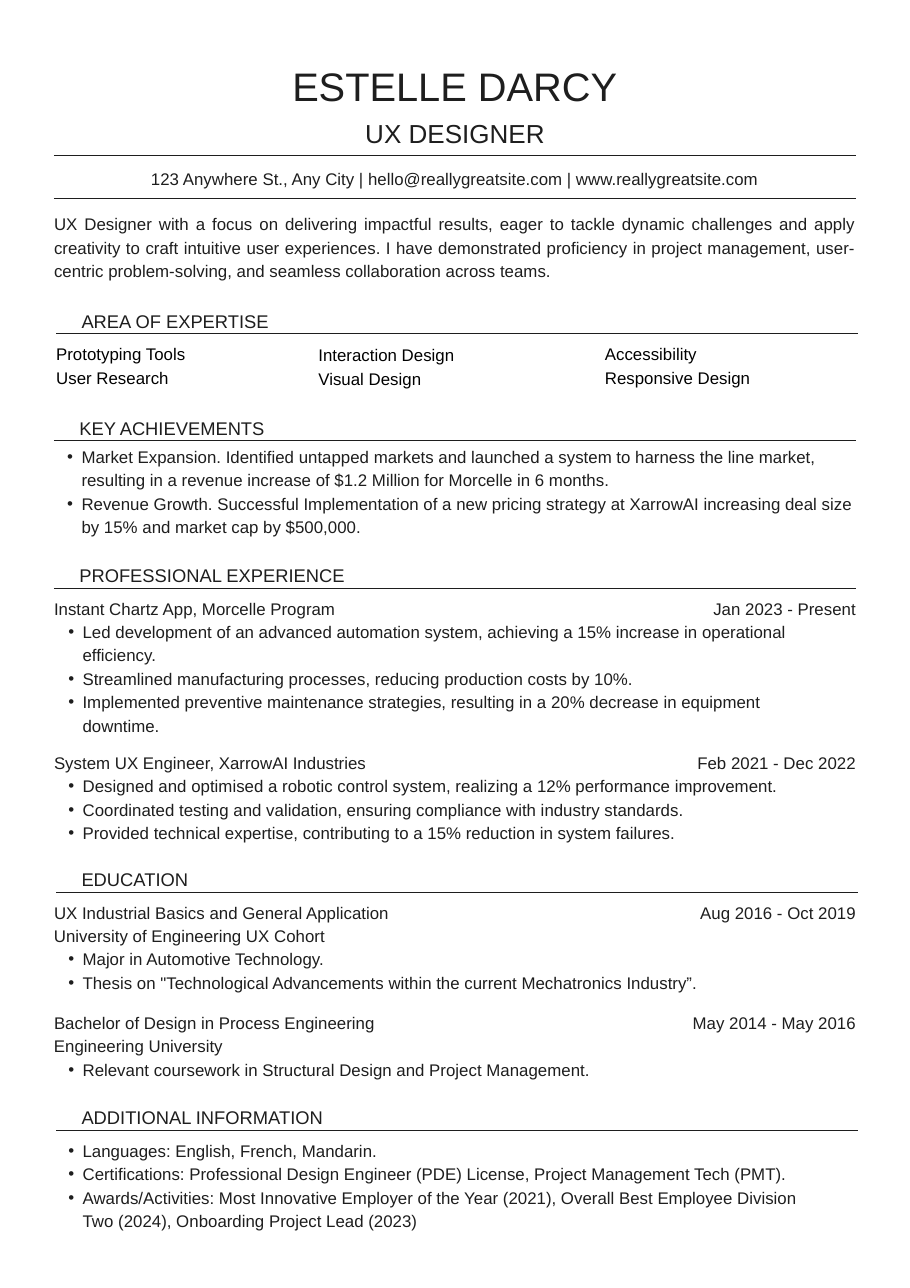
from lxml import etree
from pptx import Presentation
from pptx import util as u
from pptx.dml.color import RGBColor
from pptx.enum import shapes, text
from pptx.oxml.ns import qn

PX = 9144  # 100 px to the inch
INK = "1E1E1E"
LEFT, WIDTH = 49, 728
BULLET = "• "
CENTER, RIGHT, JUSTIFY = text.PP_ALIGN.CENTER, text.PP_ALIGN.RIGHT, text.PP_ALIGN.JUSTIFY

presentation = Presentation()
presentation.slide_width = 826 * PX
presentation.slide_height = 1169 * PX
slide = presentation.slides.add_slide(presentation.slide_layouts[6])


def add_text(lines, x, y, width, height, size=11, color=INK, align=None, indent=0):
    """Add a text box; lines that start with a bullet become list items."""
    box = slide.shapes.add_textbox(x * PX, y * PX, width * PX, height * PX)
    frame = box.text_frame
    frame.margin_left = frame.margin_right = frame.margin_top = frame.margin_bottom = 0
    frame.word_wrap = True
    frame.auto_size = text.MSO_AUTO_SIZE.SHAPE_TO_FIT_TEXT
    for index, line in enumerate(lines):
        paragraph = frame.add_paragraph() if index else frame.paragraphs[0]
        paragraph.alignment = align
        paragraph.line_spacing = u.Emu(size * 17780)  # 1.4 times the text size
        properties = paragraph._p.get_or_add_pPr()
        if indent:
            properties.set("marL", str(indent * PX))
        if line.startswith(BULLET):
            paragraph.level = 1
            properties.set("marL", str(26 * PX))
            properties.set("indent", str(-13 * PX))
            etree.SubElement(properties, qn("a:buFont"), typeface="Arial")
            etree.SubElement(properties, qn("a:buChar"), char=BULLET.strip())
        run = paragraph.add_run()
        run.text = line.removeprefix(BULLET)
        run.font.size = u.Pt(size)
        run.font.name = "Arial"
        run.font.color.rgb = RGBColor.from_string(color)


def add_rule(x, y):
    """Add a full-width horizontal rule."""
    rule = slide.shapes.add_connector(
        shapes.MSO_CONNECTOR.STRAIGHT, x * PX, y * PX, (x + WIDTH) * PX, y * PX)
    rule.line.color.rgb = RGBColor.from_string(INK)
    rule.line.width = u.Pt(0.75)
    etree.SubElement(rule._element.spPr, qn("a:effectLst"))


# Name, role and contact details
add_text(["ESTELLE DARCY"], LEFT, 49, WIDTH, 49, size=26, align=CENTER)
add_text(["UX DESIGNER"], LEFT, 102, WIDTH, 31, size=17, align=CENTER)
add_rule(LEFT, 141)
add_text(["123 Anywhere St., Any City | hello@reallygreatsite.com | www.reallygreatsite.com"],
         LEFT, 150, WIDTH, 20, align=CENTER)
add_rule(LEFT, 180)

# Profile
add_text(["UX Designer with a focus on delivering impactful results, eager to tackle dynamic "
          "challenges and apply creativity to craft intuitive user experiences. I have "
          "demonstrated proficiency in project management, user-centric problem-solving, "
          "and seamless collaboration across teams."],
         LEFT, 191, WIDTH, 62, align=JUSTIFY)

# Section headings, each with a rule below
for heading, x, y in [
    ("AREA OF EXPERTISE", 51, 278),
    ("KEY ACHIEVEMENTS", 49, 375),
    ("PROFESSIONAL EXPERIENCE", 49, 509),
    ("EDUCATION", 51, 785),
    ("ADDITIONAL INFORMATION", 51, 1001),
]:
    add_text([heading], x, y, WIDTH, 22, size=12, indent=23)
    add_rule(x, y + 25)

# Area of expertise
for skills, x, y, width in [
    (["Prototyping Tools", "User Research"], 51, 309, 228),
    (["Interaction Design", "Visual Design"], 289, 310, 250),
    (["Accessibility", "Responsive Design"], 549, 309, 228),
]:
    add_text(skills, x, y, width, 41, color="000000")

# Key achievements
add_text([
    "• Market Expansion. Identified untapped markets and launched a system to harness the "
    "line market, resulting in a revenue increase of $1.2 Million for Morcelle in 6 months.",
    "• Revenue Growth. Successful Implementation of a new pricing strategy at XarrowAI "
    "increasing deal size by 15% and market cap by $500,000.",
], 48, 402, 729, 82)

# Experience and education entries: title, dates, top, height of details, details
for title, dates, y, height, details in [
    ("Instant Chartz App, Morcelle Program", "Jan 2023 - Present", 540, 103, [
        "• Led development of an advanced automation system, achieving a 15% increase in "
        "operational efficiency.",
        "• Streamlined manufacturing processes, reducing production costs by 10%.",
        "• Implemented preventive maintenance strategies, resulting in a 20% decrease in "
        "equipment downtime.",
    ]),
    ("System UX Engineer, XarrowAI Industries", "Feb 2021 - Dec 2022", 680, 62, [
        "• Designed and optimised a robotic control system, realizing a 12% performance "
        "improvement.",
        "• Coordinated testing and validation, ensuring compliance with industry standards.",
        "• Provided technical expertise, contributing to a 15% reduction in system failures.",
    ]),
    ("UX Industrial Basics and General Application", "Aug 2016 - Oct 2019", 816, 62, [
        "University of Engineering UX Cohort",
        "• Major in Automotive Technology.",
        '• Thesis on "Technological Advancements within the current Mechatronics Industry”.',
    ]),
    ("Bachelor of Design in Process Engineering", "May 2014 - May 2016", 916, 41, [
        "Engineering University",
        "• Relevant coursework in Structural Design and Project Management.",
    ]),
]:
    add_text([title], LEFT, y, 492, 20)
    add_text([dates], 580, y, 197, 20, align=RIGHT)
    add_text(details, LEFT, y + 21, 697, height)

# Additional information
add_text([
    "• Languages: English, French, Mandarin.",
    "• Certifications: Professional Design Engineer (PDE) License, Project Management Tech "
    "(PMT).",
    "• Awards/Activities: Most Innovative Employer of the Year (2021), Overall Best Employee "
    "Division Two (2024), Onboarding Project Lead (2023)",
], LEFT, 1032, 697, 82)

presentation.save("out.pptx")
